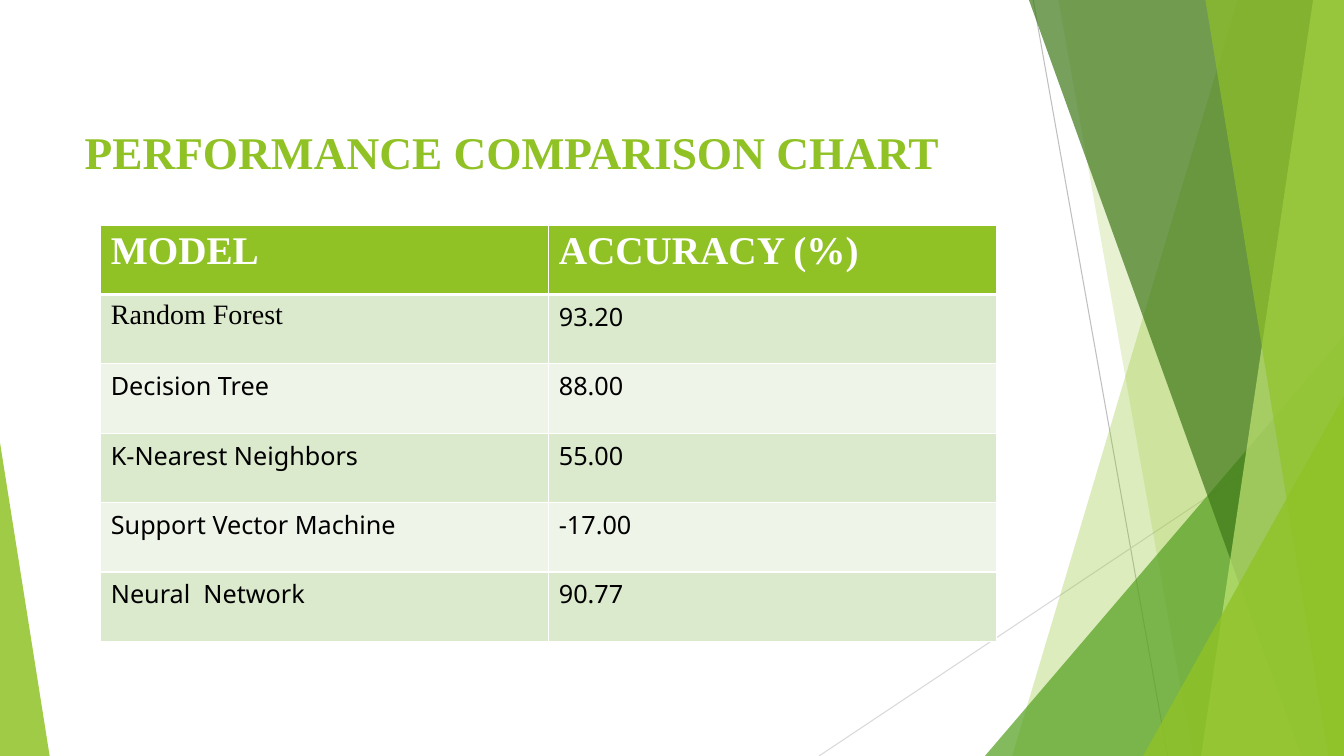
import pptx
import pptx.util
import pptx.dml.color
import pptx.enum.shapes
import pptx.enum.text
import pptx.oxml
import pptx.oxml.ns

Pt = pptx.util.Pt
SHAPE = pptx.enum.shapes.MSO_SHAPE
W, H = 960, 540
SERIF, SANS = "Times New Roman", "Noto Sans"
COLORS = {
    "lime": "90C226", "green": "54A021", "forest": "3F7819", "pale": "C0E474",
    "line_dark": "BFBFBF", "line_light": "D9D9D9",
    "white": "FFFFFF", "black": "000000", "band_odd": "DBE9CD", "band_even": "EEF4E8",
}
RESULTS = [
    ("MODEL", "ACCURACY (%)"),
    ("Random Forest", "93.20"),
    ("Decision Tree", "88.00"),
    ("K-Nearest Neighbors", "55.00"),
    ("Support Vector Machine", "-17.00"),
    ("Neural  Network", "90.77"),
]


def rgb(name):
    return pptx.dml.color.RGBColor.from_string(COLORS[name])


def paint(sp, color, opacity):
    """Give a shape a translucent fill without line or shadow."""
    sp.shadow.inherit = False
    sp.line.fill.background()
    sp.fill.solid()
    sp.fill.fore_color.rgb = rgb(color)
    clr = sp.fill._xPr.find(".//" + pptx.oxml.ns.qn("a:srgbClr"))
    clr.append(pptx.oxml.parse_xml(
        f'<a:alpha {pptx.oxml.ns.nsdecls("a")} val="{opacity * 1000}"/>'))


def add_line(s, x1, y1, x2, y2, color):
    line = s.shapes.add_connector(
        pptx.enum.shapes.MSO_CONNECTOR.STRAIGHT, Pt(x1), Pt(y1), Pt(x2), Pt(y2))
    line.line.color.rgb = rgb(color)
    line.line.width = Pt(0.75)
    line._element.spPr.append(
        pptx.oxml.parse_xml(f'<a:effectLst {pptx.oxml.ns.nsdecls("a")}/>'))


def add_band(s, right, bottom, top_x, top_end, bottom_x, bottom_end, color, opacity):
    """Full-height band; x positions are measured back from the right edge."""
    corners = [(right - top_x, 0), (right - top_end, 0),
               (right - bottom_end, bottom), (right - bottom_x, bottom)]
    points = [(Pt(x), Pt(y)) for x, y in corners]
    fb = s.shapes.build_freeform(*points[0])
    fb.add_line_segments(points[1:], close=True)
    paint(fb.convert_to_shape(), color, opacity)


def add_triangle(s, x, bottom, width, height, apex, color, opacity):
    sp = s.shapes.add_shape(
        SHAPE.ISOSCELES_TRIANGLE, Pt(x), Pt(bottom - height), Pt(width), Pt(height))
    sp.adjustments[0] = apex
    paint(sp, color, opacity)


def add_facets(s, x, y, w, h):
    """Overlapping green facets along the side edges of the given box."""
    right, bottom = x + w, y + h
    add_line(s, right - 222, y, right - 126, bottom, "line_dark")
    add_line(s, right, bottom - 250, right - 375, bottom, "line_light")
    add_band(s, right, bottom, 76, 0, 237, 0, "lime", 30)
    add_band(s, right, bottom, 204, 0, 108, 0, "lime", 20)
    add_triangle(s, right - 256.5, bottom, 256.5, 300, 1, "green", 72)
    add_band(s, right, bottom, 225, 0, 30.5, 0, "forest", 70)
    add_band(s, right, bottom, 22, 0, 102, 0, "pale", 70)
    add_band(s, right, bottom, 99, 0, 11, 0, "lime", 65)
    add_triangle(s, right - 143.5, bottom, 143.5, 257, 1, "lime", 80)
    add_triangle(s, x, bottom, 35.5, 224, 0, "lime", 85)


def add_title(s, x, y, w, h):
    title = s.shapes.title
    title.left, title.top, title.width, title.height = Pt(x), Pt(y), Pt(w), Pt(h)
    tf = title.text_frame
    tf.word_wrap = True
    tf.auto_size = pptx.enum.text.MSO_AUTO_SIZE.NONE
    tf.vertical_anchor = pptx.enum.text.MSO_ANCHOR.TOP
    tf.margin_top = Pt(9)
    p = tf.paragraphs[0]
    p.text = "PERFORMANCE COMPARISON CHART"
    p.alignment = pptx.enum.text.PP_ALIGN.LEFT
    style_text(p, SERIF, 32.4, "lime", True)


def style_text(p, font, size, color, bold=False):
    p.font.name, p.font.size, p.font.bold = font, Pt(size), bold
    p.font.color.rgb = rgb(color)


def set_borders(cell, top, bottom):
    tcPr = cell._tc.get_or_add_tcPr()
    for i, (side, width) in enumerate([("L", 1), ("R", 1), ("T", top), ("B", bottom)]):
        tcPr.insert(i, pptx.oxml.parse_xml(
            f'<a:ln{side} {pptx.oxml.ns.nsdecls("a")} w="{Pt(width)}"><a:solidFill>'
            f'<a:srgbClr val="{COLORS["white"]}"/></a:solidFill></a:ln{side}>'))


def add_results(s, x, y, w, h):
    rows, cols = len(RESULTS), len(RESULTS[0])
    table = s.shapes.add_table(rows, cols, Pt(x), Pt(y), Pt(w), Pt(h)).table
    for row in table.rows:
        row.height = Pt(h / rows)
    for col in table.columns:
        col.width = Pt(w / cols)
    for r, values in enumerate(RESULTS):
        for c, value in enumerate(values):
            cell = table.cell(r, c)
            set_borders(cell, 3 if r == 1 else 1, 3 if r == 0 else 1)
            cell.fill.solid()
            p = cell.text_frame.paragraphs[0]
            p.text = value
            if r == 0:
                fill = "lime"
                style_text(p, SERIF, 28, "white", True)
            else:
                fill = "band_odd" if r % 2 else "band_even"
                # The first model name is set larger, in serif
                font, size = (SERIF, 20) if (r, c) == (1, 0) else (SANS, 18)
                style_text(p, font, size, "black")
            cell.fill.fore_color.rgb = rgb(fill)


def main():
    prs = pptx.Presentation()
    prs.slide_width, prs.slide_height = Pt(W), Pt(H)
    s = prs.slides.add_slide(prs.slide_layouts[5])
    add_facets(s, 0, 0, W, H)
    add_title(s, 53.3, 80, 677, 65.5)
    add_results(s, 72, 160.7, 640, 297.6)
    prs.save("out.pptx")


if __name__ == "__main__":
    main()
